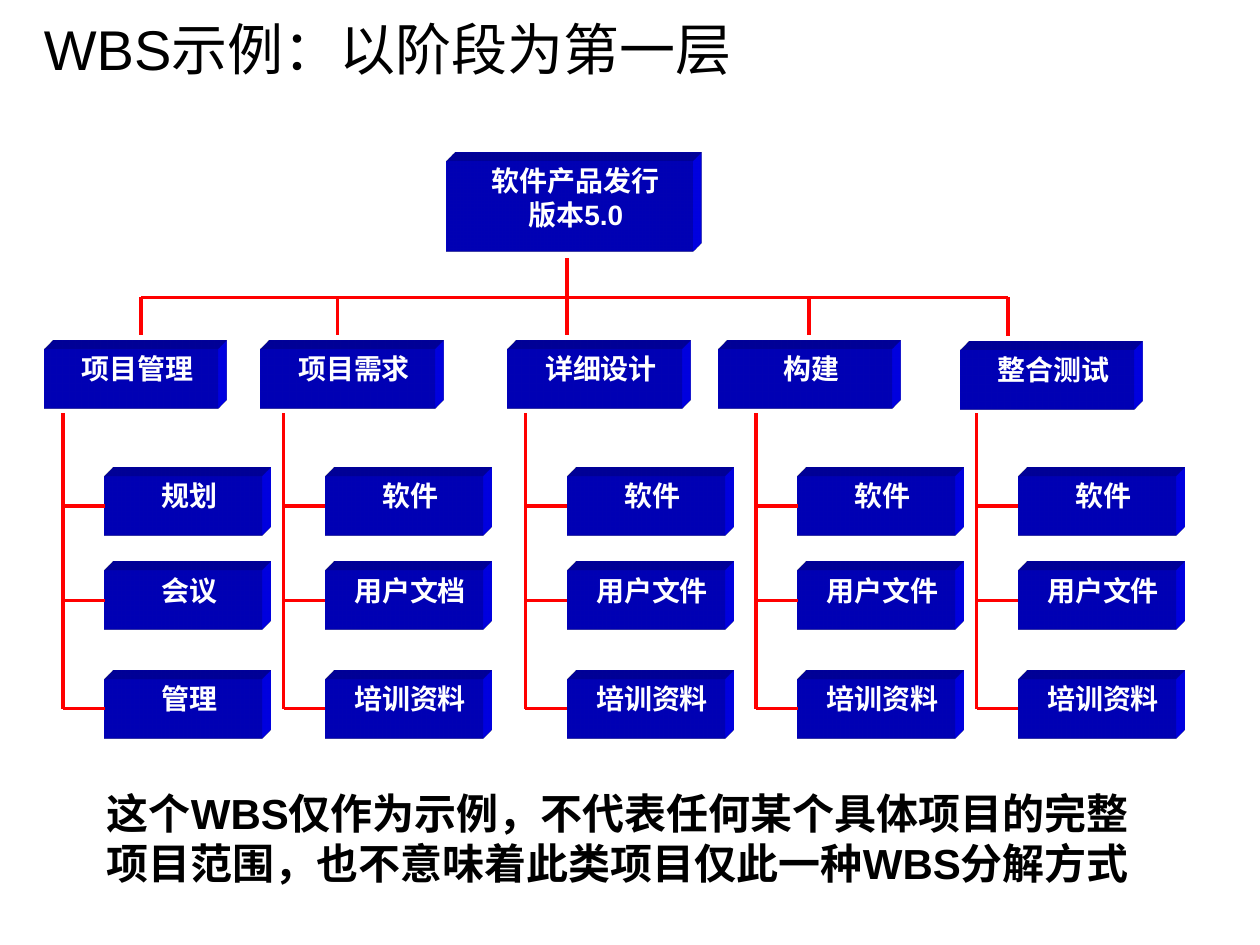
from dataclasses import dataclass
from lxml import etree
from pptx import Presentation
from pptx.dml.color import RGBColor
from pptx.enum.lang import MSO_LANGUAGE_ID
from pptx.enum.shapes import MSO_CONNECTOR, MSO_SHAPE
from pptx.enum.text import MSO_ANCHOR, PP_ALIGN
from pptx.oxml import parse_xml
from pptx.oxml.ns import qn
from pptx.util import Inches, Pt

FONT = "Arial"
COLORS = {"box": "0000FF", "line": "FF0000", "light": "FFFFFF", "dark": "000000"}
NS = 'xmlns:a="http://schemas.openxmlformats.org/drawingml/2006/main"'
SCENE = (
    f'<a:scene3d {NS}><a:camera prst="legacyObliqueTopRight"/>'
    '<a:lightRig rig="legacyFlat3" dir="b"/></a:scene3d>'
)
SOLID = (
    f'<a:sp3d {NS} extrusionH="182880" prstMaterial="legacyMatrix">'
    '<a:bevelT w="13500" h="13500" prst="angle"/>'
    '<a:bevelB w="13500" h="13500" prst="angle"/>'
    f'<a:extrusionClr><a:srgbClr val="{COLORS["box"]}"/></a:extrusionClr></a:sp3d>'
)
BAR_Y = 2.36
TRUNK_Y = 3.28
STUB = 0.33
LEAF_TOPS = (3.78, 4.53, 5.39)
LEAF_W, BOX_H = 1.25, 0.47


@dataclass(frozen=True)
class Phase:
    name: str
    left: float
    drop: float
    leaf: float
    tasks: tuple[str, ...]
    top: float = 2.77


PHASES = (
    Phase("项目管理", 0.35, 1.12, 0.83, ("规划", "会议", "管理")),
    Phase("项目需求", 2.07, 2.68, 2.58, ("软件", "用户文档", "培训资料")),
    Phase("详细设计", 4.03, 4.5, 4.5, ("软件", "用户文件", "培训资料")),
    Phase("构建", 5.7, 6.42, 6.33, ("软件", "用户文件", "培训资料")),
    Phase("整合测试", 7.62, 8, 8.08, ("软件", "用户文件", "培训资料"), 2.78),
)


def paint(name: str) -> RGBColor:
    return RGBColor.from_string(COLORS[name])


def add_run(para, text: str, size: int, color: str, bold: bool) -> None:
    run = para.add_run()
    run.text = text
    font = run.font
    font.name, font.size, font.bold = FONT, Pt(size), bold
    font.color.rgb = paint(color)
    font.language_id = MSO_LANGUAGE_ID.SIMPLIFIED_CHINESE


def add_box(slide, left: float, top: float, width: float, height: float, *rows: str):
    """Draw an extruded block with one centred paragraph per row."""
    box = slide.shapes.add_shape(
        MSO_SHAPE.RECTANGLE, Inches(left), Inches(top), Inches(width), Inches(height)
    )
    box.shadow.inherit = False
    box.fill.solid()
    box.fill.fore_color.rgb = paint("box")
    box.line.fill.background()
    for part in (SCENE, SOLID):
        box.element.spPr.append(parse_xml(part))
    frame = box.text_frame
    frame.word_wrap = True
    frame.vertical_anchor = MSO_ANCHOR.TOP
    frame.margin_left = Inches(0.12)
    frame.margin_top = frame.margin_right = frame.margin_bottom = Inches(0.02)
    for index, row in enumerate(rows):
        para = frame.add_paragraph() if index else frame.paragraphs[0]
        para.alignment = PP_ALIGN.CENTER
        add_run(para, row, 16, "light", True)
    return box


def add_line(slide, x1: float, y1: float, x2: float, y2: float):
    line = slide.shapes.add_connector(
        MSO_CONNECTOR.STRAIGHT, Inches(x1), Inches(y1), Inches(x2), Inches(y2)
    )
    line.line.color.rgb = paint("line")
    line.line.width = Pt(2)
    etree.SubElement(line.element.spPr, qn("a:effectLst"))
    return line


def add_text(slide, left: float, top: float, width: float, height: float,
             text: str, size: int, bold: bool, anchor: MSO_ANCHOR) -> None:
    box = slide.shapes.add_textbox(
        Inches(left), Inches(top), Inches(width), Inches(height)
    )
    frame = box.text_frame
    frame.word_wrap = True
    frame.vertical_anchor = anchor
    add_run(frame.paragraphs[0], text, size, "dark", bold)


def add_phase(slide, phase: Phase) -> None:
    """Draw a phase block, its drop line, and the tasks on its trunk."""
    add_line(slide, phase.drop, BAR_Y, phase.drop, phase.top - 0.11)
    add_box(slide, phase.left, phase.top, 1.38, BOX_H, phase.name)
    trunk = phase.leaf - STUB
    add_line(slide, trunk, TRUNK_Y, trunk, LEAF_TOPS[-1] + BOX_H / 2)
    for top, task in zip(LEAF_TOPS, phase.tasks):
        leaf = add_box(slide, phase.leaf, top, LEAF_W, BOX_H, task)
        mid = top + BOX_H / 2
        add_line(slide, trunk, mid, phase.leaf, mid).end_connect(leaf, 1)


def main() -> None:
    deck = Presentation()
    deck.slide_width, deck.slide_height = Inches(10), Inches(7.5)
    slide = deck.slides.add_slide(deck.slide_layouts[6])
    add_text(slide, 0.25, 0, 9.75, 0.76, "WBS示例：以阶段为第一层",
             32, False, MSO_ANCHOR.MIDDLE)
    add_box(slide, 3.54, 1.28, 1.96, 0.72, "软件产品发行", "版本5.0")
    add_line(slide, 4.5, 2.05, 4.5, BAR_Y)
    add_line(slide, PHASES[0].drop, BAR_Y, PHASES[-1].drop, BAR_Y)
    for phase in PHASES:
        add_phase(slide, phase)
    add_text(slide, 0.75, 6.2, 8.42, 0.91,
             "这个WBS仅作为示例，不代表任何某个具体项目的完整项目范围，"
             "也不意味着此类项目仅此一种WBS分解方式",
             24, True, MSO_ANCHOR.TOP)
    deck.save("out.pptx")


if __name__ == "__main__":
    main()
